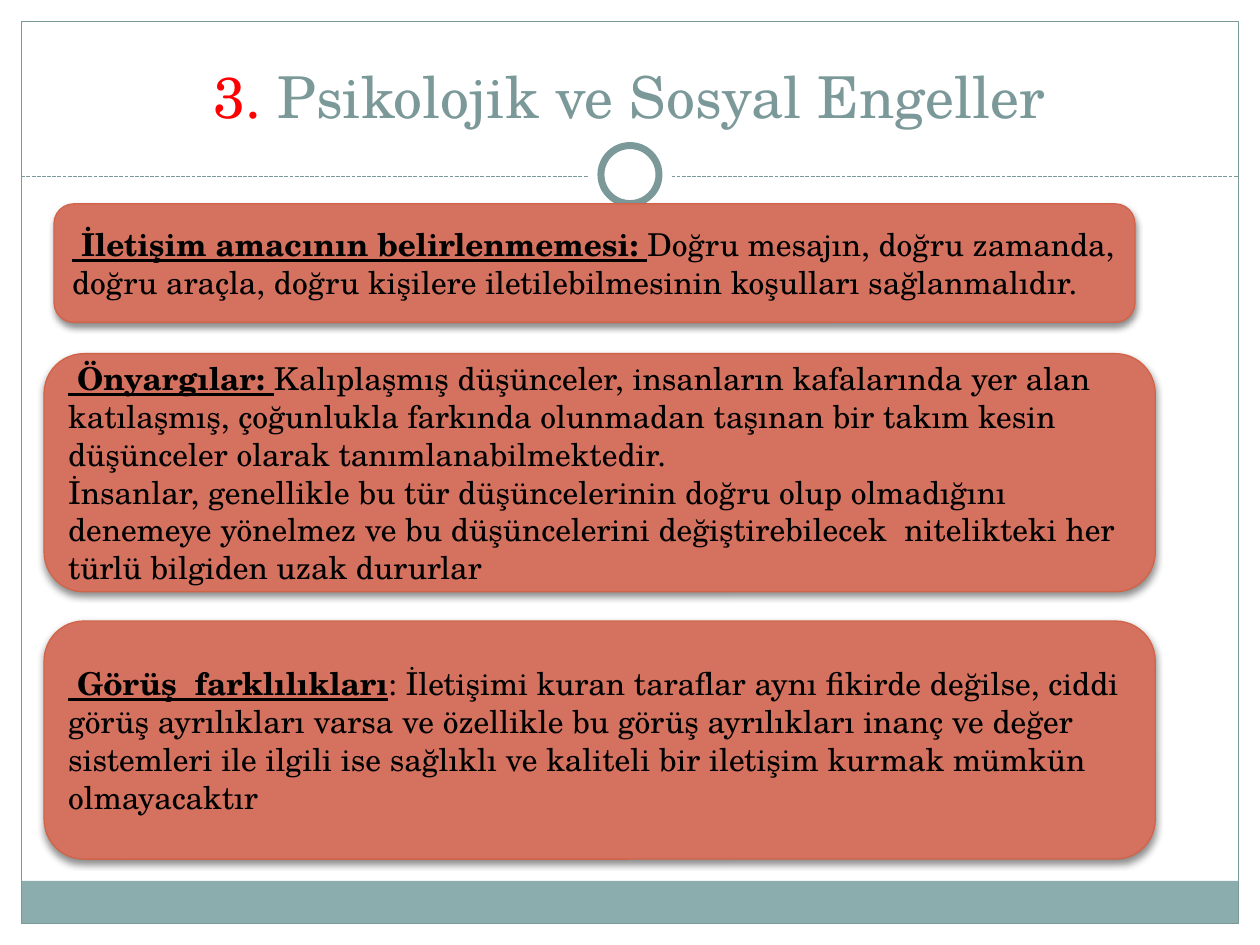
import pptx
import pptx.util
import pptx.oxml
import pptx.oxml.ns
import pptx.dml.color
import pptx.enum.dml
import pptx.enum.shapes
import pptx.enum.text

Cm, Pt = pptx.util.Cm, pptx.util.Pt
KIND = pptx.enum.shapes.MSO_SHAPE
FONT = "TeX Gyre Schola"
HUES = {
    "white": "FFFFFF", "black": "000000", "red": "FF0000",
    "teal": "7C999A", "band": "8CADAE", "card": "D4725F", "edge": "D16349",
}
# Each card: box in cm, bold lead, then its paragraphs
CARDS = [
    ((1.09, 4.11, 21.79, 2.39), " İletişim amacının belirlenmemesi: ",
     ["Doğru mesajın, doğru zamanda, doğru araçla, doğru kişilere "
      "iletilebilmesinin koşulları sağlanmalıdır."]),
    ((0.89, 7.13, 22.4, 4.8), " Önyargılar: ",
     ["Kalıplaşmış düşünceler, insanların kafalarında yer alan katılaşmış, "
      "çoğunlukla farkında olunmadan taşınan bir takım kesin düşünceler "
      "olarak tanımlanabilmektedir.",
      "İnsanlar, genellikle bu tür düşüncelerinin doğru olup olmadığını "
      "denemeye yönelmez ve bu düşüncelerini değiştirebilecek  nitelikteki "
      "her türlü bilgiden uzak dururlar"]),
    ((0.89, 12.52, 22.4, 4.8), " Görüş  farklılıkları",
     [": İletişimi kuran taraflar aynı fikirde değilse, ciddi görüş "
      "ayrılıkları varsa ve özellikle bu görüş ayrılıkları inanç ve değer "
      "sistemleri ile ilgili ise sağlıklı ve kaliteli bir iletişim kurmak "
      "mümkün olmayacaktır"]),
]


def hue(name):
    return pptx.dml.color.RGBColor.from_string(HUES[name])


def add_box(slide, kind, box, fill=None, line=None, width=0.75):
    shape = slide.shapes.add_shape(kind, *map(Cm, box))
    shape.shadow.inherit = False
    if fill:
        shape.fill.solid()
        shape.fill.fore_color.rgb = hue(fill)
    else:
        shape.fill.background()
    if line:
        shape.line.color.rgb = hue(line)
        shape.line.width = Pt(width)
    else:
        shape.line.fill.background()
    return shape


def style(run, size, color, bold=False):
    font = run.font
    font.name, font.size, font.bold = FONT, Pt(size), bold
    font.underline = bold
    font.color.rgb = hue(color)


def add_frame(slide, box):
    left, top, width, height = box
    mid = left + width / 2
    # Bottom band and outer border
    band = 0.86
    add_box(slide, KIND.RECTANGLE, (left, top + height - band, width, band), "band")
    add_box(slide, KIND.RECTANGLE, box, line="teal")
    # Dashed rule
    rule = top + 3.13
    line = slide.shapes.add_connector(
        pptx.enum.shapes.MSO_CONNECTOR.STRAIGHT,
        Cm(left), Cm(rule), Cm(left + width), Cm(rule))
    line.line.color.rgb = hue("teal")
    line.line.width = Pt(0.75)
    line.line.dash_style = pptx.enum.dml.MSO_LINE.SQUARE_DOT
    line.element.spPr.append(pptx.oxml.parse_xml(
        f'<a:effectLst {pptx.oxml.ns.nsdecls("a")}/>'))
    # Ring on a disc that breaks the rule
    for size, edge in ((1.7, None), (1.17, "teal")):
        spot = (mid - size / 2, rule - 0.04 - size / 2, size, size)
        add_box(slide, KIND.OVAL, spot, "white", edge, 4)


def add_title(slide, box):
    title = slide.shapes.title
    title.left, title.top, title.width, title.height = map(Cm, box)
    title.element.getparent().append(title.element)  # in front of the frame
    frame = title.text_frame
    frame.auto_size = pptx.enum.text.MSO_AUTO_SIZE.NONE
    frame.vertical_anchor = pptx.enum.text.MSO_ANCHOR.BOTTOM
    frame.text = "3. "
    para = frame.paragraphs[0]
    para.alignment = pptx.enum.text.PP_ALIGN.CENTER
    para.add_run().text = "Psikolojik ve Sosyal Engeller"
    for run, color in zip(para.runs, ("red", "teal")):
        style(run, 33, color)


def add_card(slide, box, lead, texts):
    card = add_box(slide, KIND.ROUNDED_RECTANGLE, box, "card", "edge")
    # Soft shadow below
    glow = card.element.spPr.find(pptx.oxml.ns.qn("a:effectLst"))
    glow.append(pptx.oxml.parse_xml(
        f'<a:outerShdw {pptx.oxml.ns.nsdecls("a")} blurRad="{Pt(4)}" '
        f'dist="{Pt(2)}" dir="5400000" rotWithShape="0">'
        f'<a:srgbClr val="{HUES["black"]}"><a:alpha val="45000"/></a:srgbClr>'
        '</a:outerShdw>'))
    # Bold lead, then the body
    frame = card.text_frame
    frame.word_wrap = True
    frame.vertical_anchor = pptx.enum.text.MSO_ANCHOR.MIDDLE
    frame.text = "\n".join([lead] + texts[1:])
    frame.paragraphs[0].add_run().text = texts[0]
    for para in frame.paragraphs:
        para.alignment = pptx.enum.text.PP_ALIGN.LEFT
        for run in para.runs:
            style(run, 18, "black", run.text == lead)


def main():
    deck = pptx.Presentation()
    deck.slide_width, deck.slide_height = Cm(25.4), Cm(19.05)
    slide = deck.slides.add_slide(deck.slide_layouts[5])
    add_frame(slide, (0.43, 0.43, 24.54, 18.19))
    add_title(slide, (0.84, 0.64, 23.7, 2.11))
    for box, lead, texts in CARDS:
        add_card(slide, box, lead, texts)
    deck.save("out.pptx")


if __name__ == "__main__":
    main()
